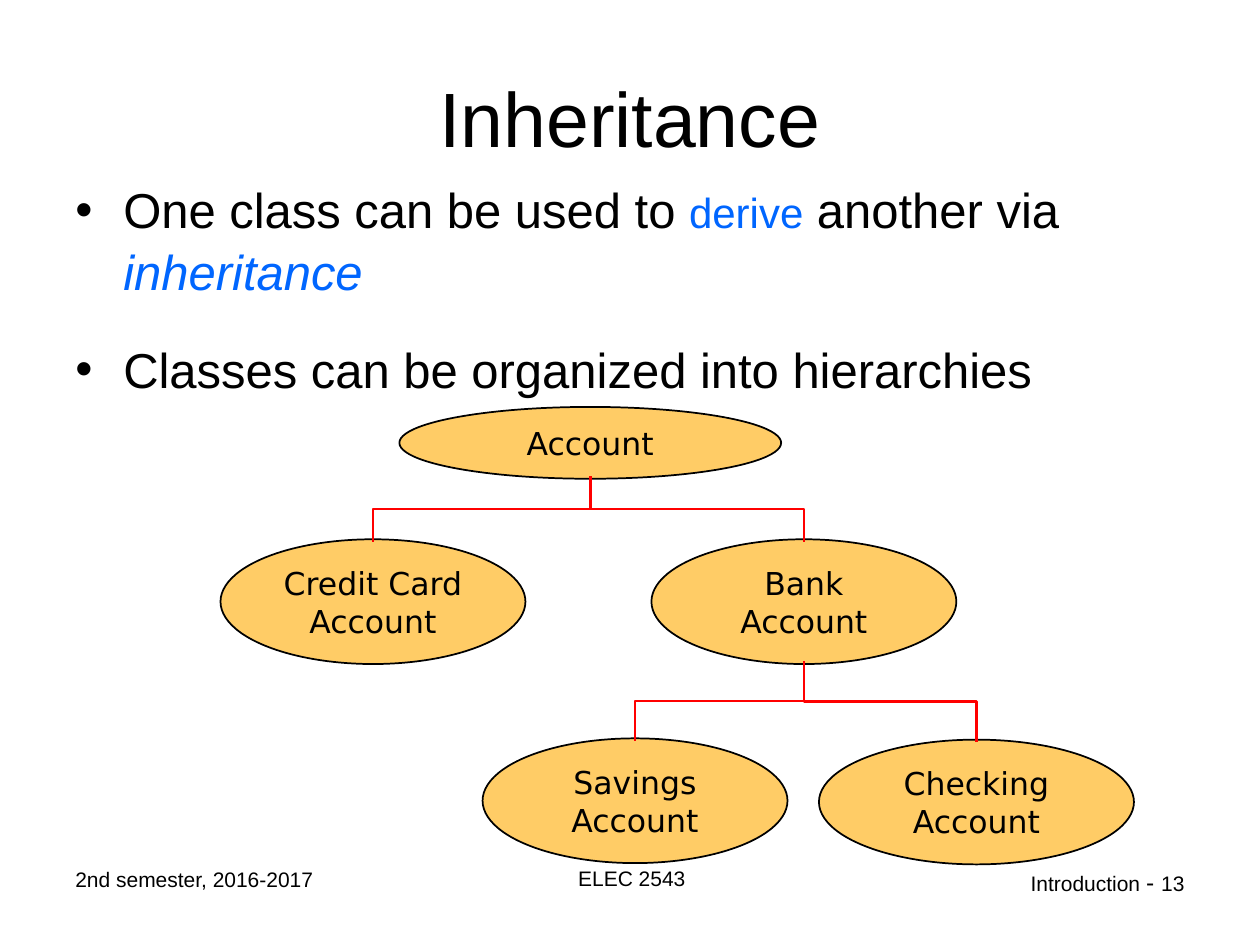
"""Build the Inheritance slide with its account class hierarchy."""
from dataclasses import dataclass

from lxml import etree
from pptx import Presentation
from pptx.dml.color import RGBColor
from pptx.enum.shapes import MSO_CONNECTOR, MSO_SHAPE
from pptx.enum.text import MSO_ANCHOR, PP_ALIGN
from pptx.oxml.ns import qn
from pptx.util import Inches, Pt

ELBOW = MSO_CONNECTOR.ELBOW
OVAL = MSO_SHAPE.OVAL
TOP, MIDDLE = MSO_ANCHOR.TOP, MSO_ANCHOR.MIDDLE
LEFT, CENTER, RIGHT = PP_ALIGN.LEFT, PP_ALIGN.CENTER, PP_ALIGN.RIGHT

BLACK = RGBColor(0x00, 0x00, 0x00)
BLUE = RGBColor(0x00, 0x66, 0xFF)
AMBER = RGBColor(0xFF, 0xCC, 0x66)
RED = RGBColor(0xFF, 0x00, 0x00)
BODY_FONT, CLASS_FONT = "Arial", "DejaVu Sans"
OVERLAP = 0.02


@dataclass(frozen=True)
class ClassNode:
    name: str
    left: float
    top: float
    width: float = 2.42
    height: float = 0.99

    @property
    def center(self) -> float:
        return self.left + self.width / 2

    @property
    def bottom(self) -> float:
        return self.top + self.height


@dataclass(frozen=True)
class Span:
    text: str
    size: float
    color: RGBColor = BLACK
    italic: bool = False


@dataclass(frozen=True)
class Label:
    left: float
    top: float
    width: float
    height: float
    spans: tuple[Span, ...]
    align: PP_ALIGN = LEFT
    anchor: MSO_ANCHOR = TOP


ACCOUNT = ClassNode("Account", 3.17, 3.23, 3.03, 0.57)
CREDIT = ClassNode("Credit Card Account", 1.75, 4.28)
BANK = ClassNode("Bank Account", 5.17, 4.28)
SAVINGS = ClassNode("Savings Account", 3.83, 5.86)
CHECKING = ClassNode("Checking Account", 6.5, 5.87, 2.5)
NODES = (ACCOUNT, CREDIT, BANK, SAVINGS, CHECKING)
LINKS = ((CREDIT, ACCOUNT), (BANK, ACCOUNT), (SAVINGS, BANK), (CHECKING, BANK))

LABELS = (
    Label(0.5, 0.3, 9, 1.25, (Span("Inheritance", 44),), CENTER, MIDDLE),
    Label(0.5, 6.83, 2.33, 0.52, (Span("2nd semester, 2016-2017", 12),)),
    Label(3.43, 6.82, 3.17, 0.52, (Span("ELEC 2543", 12),), CENTER),
    Label(7.17, 6.83, 2.33, 0.52,
          (Span("Introduction ", 12), Span("- ", 14), Span("13", 12)), RIGHT),
)
BULLETS = (
    (Span("One class can be used to ", 28), Span("derive", 24, BLUE),
     Span(" another via ", 28), Span("inheritance", 28, BLUE, True)),
    (Span("Classes can be organized into hierarchies", 28),),
)


def add_span(para, text: str, *, size: float, color: RGBColor = BLACK,
             font: str = BODY_FONT, italic: bool = False) -> None:
    run = para.add_run()
    run.text = text
    run.font.name = font
    run.font.size = Pt(size)
    run.font.italic = italic
    run.font.color.rgb = color


def add_spans(para, spans: tuple[Span, ...]) -> None:
    for span in spans:
        add_span(para, span.text, size=span.size, color=span.color, italic=span.italic)


def add_label(page, label: Label) -> None:
    box = page.shapes.add_textbox(Inches(label.left), Inches(label.top),
                                  Inches(label.width), Inches(label.height))
    frame = box.text_frame
    frame.word_wrap = True
    frame.vertical_anchor = label.anchor
    para = frame.paragraphs[0]
    para.alignment = label.align
    add_spans(para, label.spans)


def add_bullets(page) -> None:
    box = page.shapes.add_textbox(Inches(0.5), Inches(1.33), Inches(9.25), Inches(2.08))
    frame = box.text_frame
    frame.word_wrap = True
    frame.margin_top = Inches(0.08)
    for index, spans in enumerate(BULLETS):
        para = frame.add_paragraph() if index else frame.paragraphs[0]
        properties = para._p.get_or_add_pPr()
        properties.set("marL", str(Inches(0.38)))
        properties.set("indent", str(-Inches(0.38)))
        etree.SubElement(properties, qn("a:buFont"), typeface=BODY_FONT)
        etree.SubElement(properties, qn("a:buChar"), char="•")
        para.line_spacing = 1.04
        if index:
            para.space_before = Pt(21)
        add_spans(para, spans)


def add_node(page, node: ClassNode) -> None:
    oval = page.shapes.add_shape(OVAL, Inches(node.left), Inches(node.top),
                                 Inches(node.width), Inches(node.height))
    oval.shadow.inherit = False
    oval.fill.solid()
    oval.fill.fore_color.rgb = AMBER
    oval.line.color.rgb = BLACK
    oval.line.width = Pt(1)
    frame = oval.text_frame
    frame.word_wrap = True
    frame.vertical_anchor = MIDDLE
    para = frame.paragraphs[0]
    para.alignment = CENTER
    add_span(para, node.name, size=18, font=CLASS_FONT)


def add_link(page, child: ClassNode, parent: ClassNode) -> None:
    start, end = child.top + OVERLAP, parent.bottom - OVERLAP
    middle_x, middle_y = (child.center + parent.center) / 2, (start + end) / 2
    half_rise = (start - end) / 2
    half_run = abs(child.center - parent.center) / 2
    side = 1 if child.center < parent.center else -1
    link = page.shapes.add_connector(
        ELBOW,
        Inches(middle_x + side * half_rise), Inches(middle_y + half_run),
        Inches(middle_x - side * half_rise), Inches(middle_y - half_run))
    link.line.color.rgb = RED
    link.line.width = Pt(1.5)
    properties = link._element.spPr
    quarter_turns = 1 if side > 0 else 3
    properties.find(qn("a:xfrm")).set("rot", str(quarter_turns * 90 * 60000))
    etree.SubElement(properties, qn("a:effectLst"))


def main() -> None:
    deck = Presentation()
    deck.slide_width, deck.slide_height = Inches(10), Inches(7.5)
    page = deck.slides.add_slide(deck.slide_layouts[6])
    title, *footers = LABELS
    add_label(page, title)
    add_bullets(page)
    for node in NODES:
        add_node(page, node)
    for child, parent in LINKS:
        add_link(page, child, parent)
    for footer in footers:
        add_label(page, footer)
    deck.save("out.pptx")


if __name__ == "__main__":
    main()
